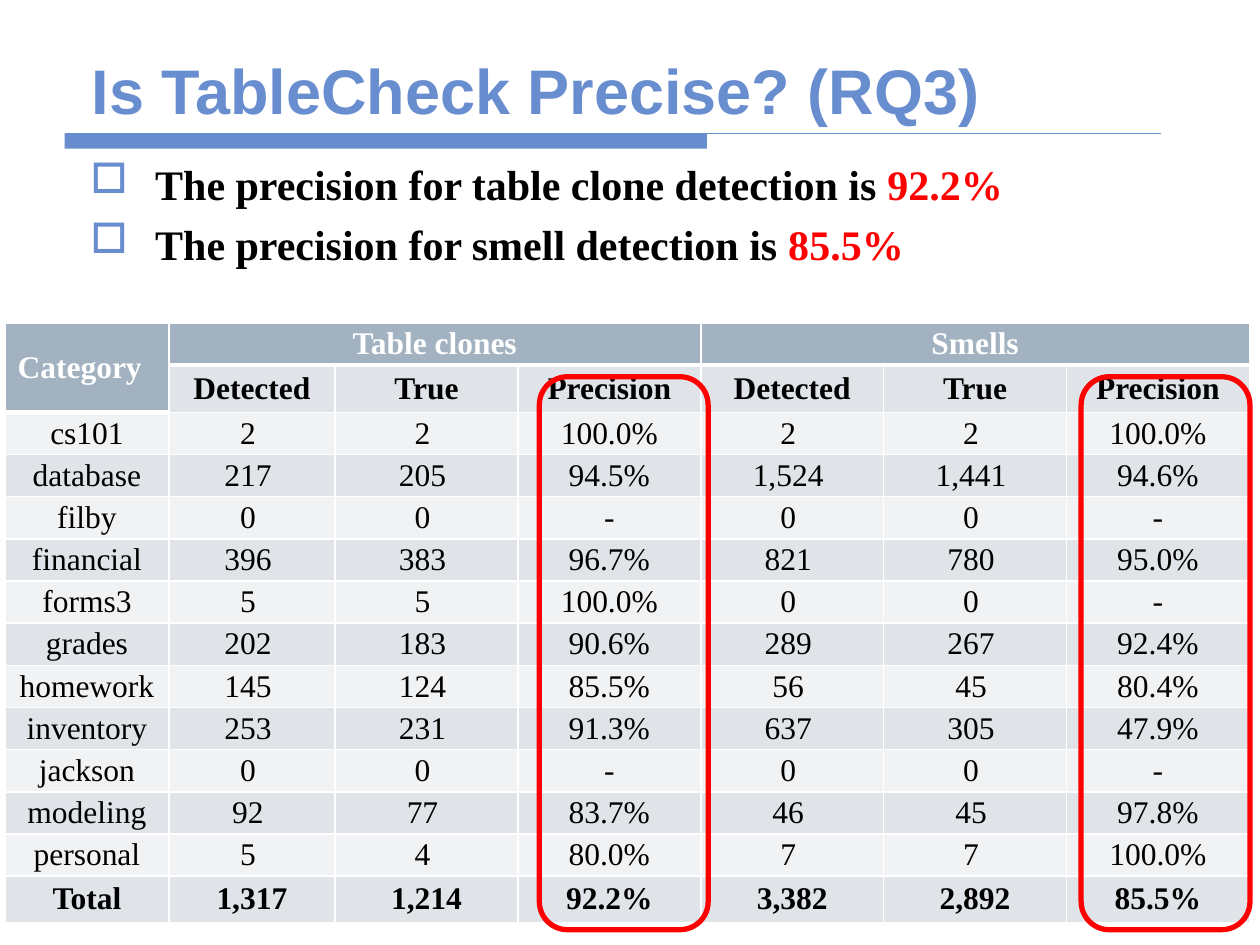
from lxml.etree import SubElement
from pptx import Presentation
from pptx.dml.color import RGBColor
from pptx.enum.shapes import MSO_CONNECTOR, MSO_SHAPE
from pptx.enum.text import MSO_ANCHOR, PP_ALIGN
from pptx.oxml.ns import qn
from pptx.util import Pt

BLUE, RED, WHITE = "698ECF", "FF0000", "FFFFFF"
HEAD, DARK, PALE = "A3B2C1", "E0E4E9", "F0F2F4"

ROWS = [
    ["Category", "Table clones", "", "", "Smells", "", ""],
    ["", "Detected", "True", "Precision", "Detected", "True", "Precision"],
    ["cs101", "2", "2", "100.0%", "2", "2", "100.0%"],
    ["database", "217", "205", "94.5%", "1,524", "1,441", "94.6%"],
    ["filby", "0", "0", "-", "0", "0", "-"],
    ["financial", "396", "383", "96.7%", "821", "780", "95.0%"],
    ["forms3", "5", "5", "100.0%", "0", "0", "-"],
    ["grades", "202", "183", "90.6%", "289", "267", "92.4%"],
    ["homework", "145", "124", "85.5%", "56", "45", "80.4%"],
    ["inventory", "253", "231", "91.3%", "637", "305", "47.9%"],
    ["jackson", "0", "0", "-", "0", "0", "-"],
    ["modeling", "92", "77", "83.7%", "46", "45", "97.8%"],
    ["personal", "5", "4", "80.0%", "7", "7", "100.0%"],
    ["Total", "1,317", "1,214", "92.2%", "3,382", "2,892", "85.5%"],
]


def tint(code):
    """Turn a hex string into a colour."""
    return RGBColor.from_string(code)


def write(para, text, font="Times New Roman", size=18, color="000000", bold=True):
    """Add a formatted run to a paragraph."""
    run = para.add_run()
    run.text = text
    run.font.name, run.font.size, run.font.bold = font, Pt(size), bold
    run.font.color.rgb = tint(color)


def add_box(slide, x, y, w, h):
    """Add a wrapping text box and return its frame."""
    frame = slide.shapes.add_textbox(Pt(x), Pt(y), Pt(w), Pt(h)).text_frame
    frame.word_wrap = True
    return frame


def add_title(slide, x, y, w, h):
    """Place the title above its bar and rule."""
    base = y + h
    bar = slide.shapes.add_shape(MSO_SHAPE.RECTANGLE, Pt(x), Pt(base), Pt(367), Pt(8.6))
    bar.shadow.inherit = False
    bar.fill.solid()
    bar.fill.fore_color.rgb = tint(BLUE)
    bar.line.fill.background()
    rule = slide.shapes.add_connector(
        MSO_CONNECTOR.STRAIGHT, Pt(x), Pt(base), Pt(x + w), Pt(base))
    rule.line.color.rgb = tint(BLUE)
    rule.line.width = Pt(0.75)
    SubElement(rule._element.spPr, qn("a:effectLst"))
    frame = add_box(slide, x + 8.3, y, w, h)
    frame.vertical_anchor = MSO_ANCHOR.BOTTOM
    write(frame.paragraphs[0], "Is TableCheck Precise? (RQ3)",
          font="Arial", size=36, color=BLUE)


def add_points(slide, x, y, w, h):
    """Place the two bulleted findings."""
    frame = add_box(slide, x, y, w, h)
    points = [("table clone", "92.2%"), ("smell", "85.5%")]
    for i, (kind, rate) in enumerate(points):
        para = frame.add_paragraph() if i else frame.paragraphs[0]
        props = para._p.get_or_add_pPr()
        props.set("marL", str(Pt(37)))
        props.set("indent", str(Pt(-37)))
        if i:
            para.space_before = Pt(5.5)
        shade = SubElement(props, qn("a:buClr"))
        SubElement(shade, qn("a:srgbClr"), val=BLUE)
        SubElement(props, qn("a:buChar"), char="□")
        write(para, f"The precision for {kind} detection is ", size=24)
        write(para, rate, size=24, color=RED)


def add_edges(cell, base):
    """Draw white borders on a cell, with the given bottom width."""
    props = cell._tc.get_or_add_tcPr()
    for side, width in zip("LRTB", (1, 1, 1, base)):
        edge = SubElement(props, qn(f"a:ln{side}"), w=str(Pt(width)))
        fill = SubElement(edge, qn("a:solidFill"))
        SubElement(fill, qn("a:srgbClr"), val=WHITE)


def fill_cell(cell, text, row, col):
    """Style one cell by its place in the grid."""
    last = len(ROWS) - 1
    head = row == 0 or (row == 1 and col == 0)
    corner = row == 0 and col == 0
    count = 1 < row < last and col % 3 != 0
    add_edges(cell, 3 if head else 1)
    cell.fill.solid()
    cell.fill.fore_color.rgb = tint(HEAD if head else DARK if row % 2 else PALE)
    cell.vertical_anchor = MSO_ANCHOR.MIDDLE
    cell.margin_top = cell.margin_bottom = 0
    cell.margin_left = Pt(7.2 if corner else 1.4)
    cell.margin_right = Pt(6 if count else 1.4)
    if text:
        para = cell.text_frame.paragraphs[0]
        para.alignment = PP_ALIGN.LEFT if corner else PP_ALIGN.CENTER
        write(para, text, color=WHITE if head else "000000",
              bold=row < 2 or row == last)


def add_grid(slide, x, y, w, h):
    """Place the results table."""
    grid = slide.shapes.add_table(
        len(ROWS), len(ROWS[0]), Pt(x), Pt(y), Pt(w), Pt(h)).table
    for col, width in zip(grid.columns, [93.6, 95] + [104.5] * 5):
        col.width = Pt(width)
    for row, high in zip(grid.rows, [24.1, 27] + [24.1] * 11 + [26.4]):
        row.height = Pt(high)
    for i, row in enumerate(ROWS):
        for j, text in enumerate(row):
            fill_cell(grid.cell(i, j), text, i, j)
    for top, left, low, right in [(0, 0, 1, 0), (0, 1, 0, 3), (0, 4, 0, 6)]:
        grid.cell(top, left).merge(grid.cell(low, right))


def add_ring(slide, x, y, w, h):
    """Outline a precision column in red."""
    ring = slide.shapes.add_shape(
        MSO_SHAPE.ROUNDED_RECTANGLE, Pt(x), Pt(y), Pt(w), Pt(h))
    ring.shadow.inherit = False
    ring.fill.background()
    ring.line.color.rgb = tint(RED)
    ring.line.width = Pt(3)


def main():
    """Build and save the slide."""
    deck = Presentation()
    deck.slide_width, deck.slide_height = Pt(720), Pt(540)
    slide = deck.slides.add_slide(deck.slide_layouts[6])
    add_title(slide, 37, 23.8, 626.5, 52.5)
    add_points(slide, 44.6, 87, 630, 88)
    add_grid(slide, 2.9, 184.5, 711.1, 342.6)
    for x in (308.2, 617.8):
        add_ring(slide, x, 215.3, 96.5, 316)
    deck.save("out.pptx")


if __name__ == "__main__":
    main()
